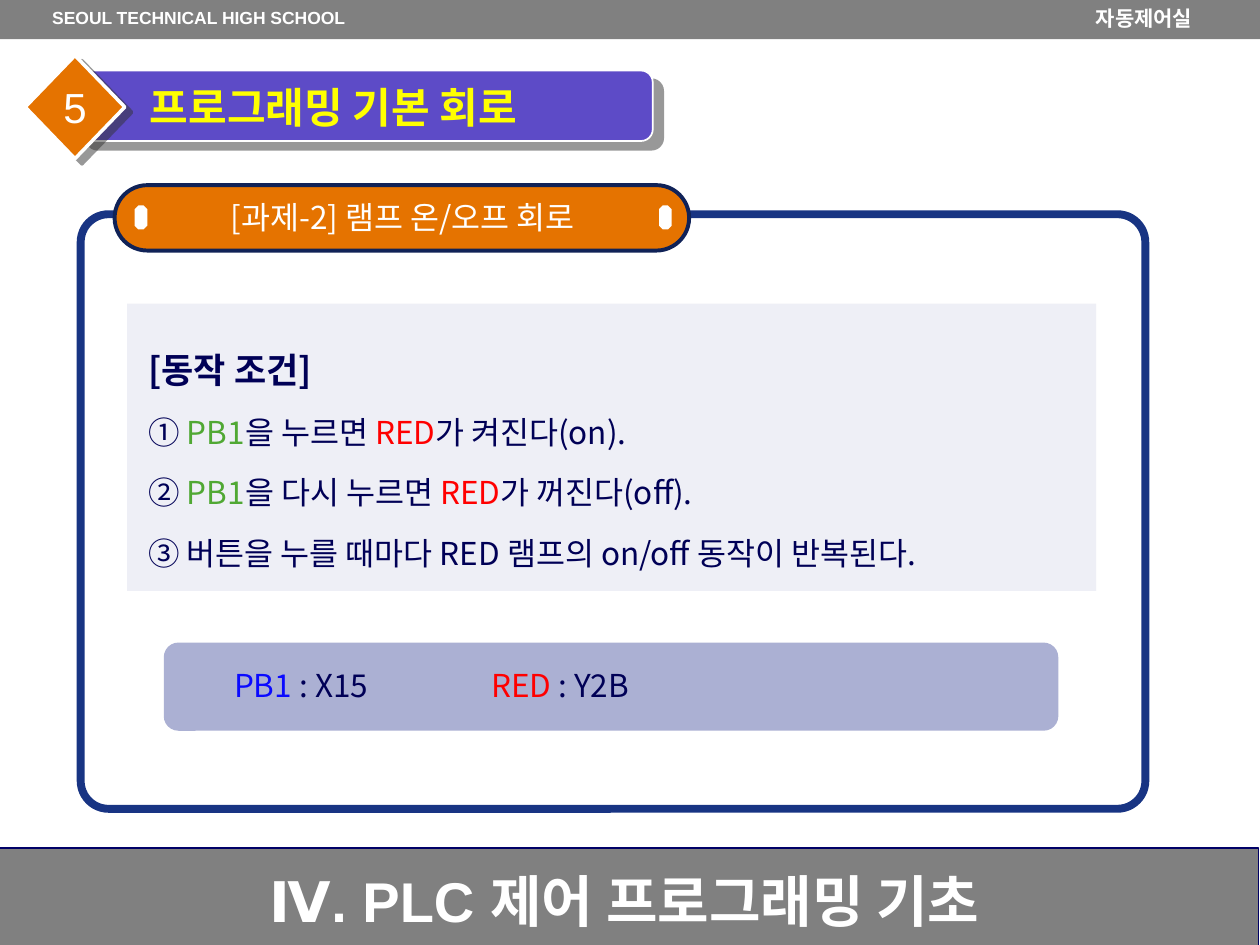
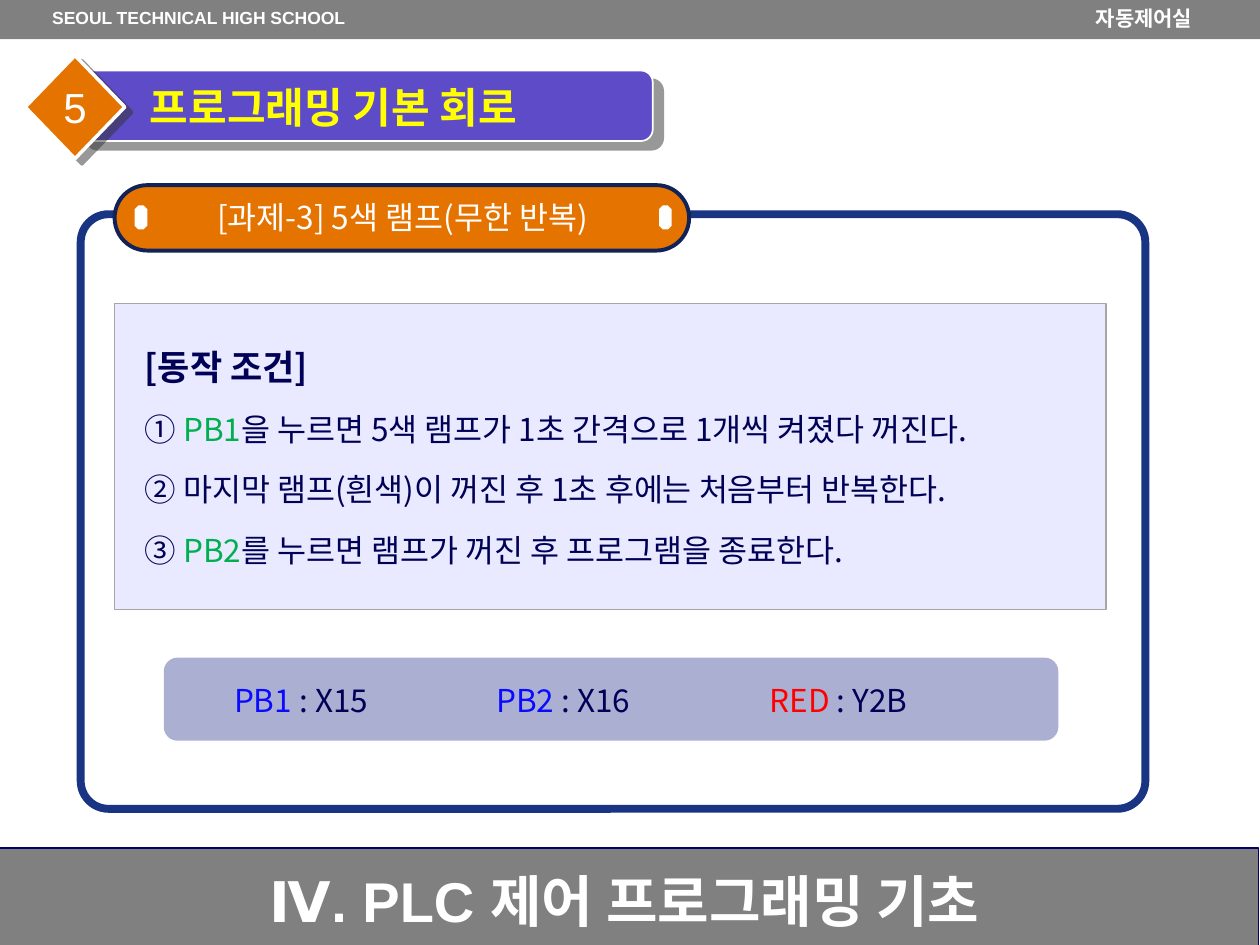
from lxml import etree
from pptx import Presentation
from pptx import util as u
from pptx.dml import color
from pptx.enum import shapes, text
from pptx.oxml import ns

Pt = u.Pt
SHAPE = shapes.MSO_SHAPE
ALIGN = text.PP_ALIGN
ANCHOR = text.MSO_ANCHOR
LATIN, KOREAN = "Arial", "Noto Sans CJK KR"

COLORS = {
    "white": "FFFFFF", "gray": "808080", "footer_line": "000066",
    "frame": "183483", "orange": "E57300", "tab_line": "102257",
    "banner": "5D4BC7", "yellow": "FFFF00", "shadow": "333333",
    "ink": "000056", "panel": "EEEFF6", "lilac": "9595FF",
    "panel_line": "A6A6A6", "bar": "ABB0D3", "red": "FF0000",
    "blue": "0A0AFF", "leaf": "50A834", "green": "00B050",
}


def rgb(name):
    return color.RGBColor.from_string(COLORS[name])


def add_child(parent, tag, **attributes):
    child = etree.SubElement(parent, ns.qn(tag))
    for key, value in attributes.items():
        child.set(key, str(value))
    return child


def write(shape, paragraphs, size=18, font=KOREAN, ink="ink", bold=False,
          align=ALIGN.LEFT, anchor=ANCHOR.TOP, wrap=True, spacing=None,
          indent=0, heading_size=None):
    """Fill a shape; each paragraph is a string or a list of (text, colour) runs."""
    frame = shape.text_frame
    frame.word_wrap = wrap
    frame.vertical_anchor = anchor
    if isinstance(paragraphs, str):
        paragraphs = [paragraphs]
    for index, content in enumerate(paragraphs):
        paragraph = frame.paragraphs[0] if index == 0 else frame.add_paragraph()
        paragraph.alignment = align
        if spacing:
            paragraph.line_spacing = spacing
        if indent:
            paragraph._p.get_or_add_pPr().set("marL", str(Pt(indent)))
        is_heading = heading_size is not None and index == 0
        runs = [(content, ink)] if isinstance(content, str) else content
        for words, run_color in runs:
            run = paragraph.add_run()
            run.text = words
            run.font.name = font
            run.font.size = Pt(heading_size if is_heading else size)
            run.font.bold = bold or is_heading
            run.font.color.rgb = rgb(run_color)
            add_child(run._r.get_or_add_rPr(), "a:ea", typeface=KOREAN)


class Deck:
    def __init__(self):
        self.presentation = Presentation()
        self.presentation.slide_width = Pt(720)
        self.presentation.slide_height = Pt(540)
        self.slide = None

    def shape(self, kind, left, top, width, height, fill=None, line=None,
              line_width=0.75, corner=None, opacity=None):
        shape = self.slide.shapes.add_shape(
            kind, Pt(left), Pt(top), Pt(width), Pt(height))
        shape.shadow.inherit = False
        if corner is not None:
            shape.adjustments[0] = corner
        if fill:
            shape.fill.solid()
            shape.fill.fore_color.rgb = rgb(fill)
            if opacity is not None:
                tint = shape._element.spPr.find(".//" + ns.qn("a:srgbClr"))
                add_child(tint, "a:alpha", val=opacity * 1000)
        else:
            shape.fill.background()
        if line:
            shape.line.color.rgb = rgb(line)
            shape.line.width = Pt(line_width)
        else:
            shape.line.fill.background()
        return shape

    def text(self, words, left, top, width, height, **style):
        box = self.slide.shapes.add_textbox(
            Pt(left), Pt(top), Pt(width), Pt(height))
        write(box, words, **style)

    def cast_shadow(self, shape, distance, angle):
        effects = shape._element.spPr.find(ns.qn("a:effectLst"))
        shadow = add_child(effects, "a:outerShdw", blurRad=0, dist=Pt(distance),
                           dir=angle * 60000, algn="ctr", rotWithShape=0)
        tint = add_child(shadow, "a:srgbClr", val=COLORS["shadow"])
        add_child(tint, "a:alpha", val=50000)

    def bands(self):
        """Header and footer of every slide."""
        centered = dict(ink="white", bold=True, align=ALIGN.CENTER)
        self.shape(SHAPE.RECTANGLE, -0.7, 484.6, 720, 57.6, "gray", "footer_line")
        self.text("Ⅳ. PLC 제어 프로그래밍 기초", 66.2, 491.8, 581.8, 44.6,
                  size=32, font=LATIN, anchor=ANCHOR.MIDDLE, **centered)
        self.shape(SHAPE.RECTANGLE, 0, -1.4, 720, 23.8, "gray")
        self.text("SEOUL TECHNICAL HIGH SCHOOL", 20.2, 0.7, 186.5, 23,
                  size=10, font=LATIN, **centered)
        self.text("자동제어실", 586.8, -1.4, 133.9, 23, size=12,
                  anchor=ANCHOR.MIDDLE, **centered)

    def title(self, number, words):
        banner = self.shape(SHAPE.ROUNDED_RECTANGLE, 43.2, 40.3, 329.8, 40.3,
                            "banner", "white", 1, corner=0.167)
        self.cast_shadow(banner, 7.8, 40)
        self.text(words, 59, 43.2, 301, 36, size=24, ink="yellow", bold=True,
                  anchor=ANCHOR.MIDDLE, indent=19.5)
        diamond = self.shape(SHAPE.DIAMOND, 14.4, 31.7, 56.9, 59,
                             "orange", "white", 2)
        self.cast_shadow(diamond, 5, 37)
        write(diamond, number, size=24, font=LATIN, ink="white",
              align=ALIGN.CENTER, anchor=ANCHOR.MIDDLE, wrap=False)

    def frame(self):
        self.shape(SHAPE.ROUNDED_RECTANGLE, 46.1, 122.4, 608.4, 339.8,
                   line="frame", line_width=4.5, corner=0.047)

    def task_tab(self, words):
        self.shape(SHAPE.ROUNDED_RECTANGLE, 65.5, 105.8, 328.3, 37.4,
                   "orange", "tab_line", 2.25, corner=0.5)
        for left in (77, 376.6):
            self.shape(SHAPE.OCTAGON, left, 117.4, 7.2, 13.7, "white", corner=0.293)
        label = self.shape(SHAPE.RECTANGLE, 93.6, 109.4, 272.9, 28.8, "orange")
        write(label, words, ink="white", align=ALIGN.CENTER)

    def address_bar(self, top, height, addresses):
        """Bar of input and output addresses: (left, name, colour, address)."""
        self.shape(SHAPE.ROUNDED_RECTANGLE, 93.6, top, 511.2, height, "bar")
        for left, name, name_color, address in addresses:
            self.text([[(name, name_color), (f" : {address}", "ink")]],
                      left, top + 9.7, 102, 28.8, wrap=False)

    def start_slide(self, task):
        self.slide = self.presentation.slides.add_slide(
            self.presentation.slide_layouts[6])
        self.bands()
        self.frame()
        self.title("5", "프로그래밍 기본 회로")
        self.task_tab(task)


CONDITIONS = dict(align=ALIGN.JUSTIFY, spacing=1.6, indent=5, heading_size=20)


def lamp_toggle_slide(deck):
    deck.start_slide("[과제-2] 램프 온/오프 회로")
    panel = deck.shape(SHAPE.RECTANGLE, 72.7, 173.5, 553.7, 164.2, "panel")
    steps = [("① ", "을 누르면 ", "가 켜진다(on)."),
             ("② ", "을 다시 누르면 ", "가 꺼진다(off).")]
    write(panel, [
        "[동작 조건]",
        *[[(mark, "ink"), ("PB1", "leaf"), (action, "ink"),
           ("RED", "red"), (result, "ink")] for mark, action, result in steps],
        "③ 버튼을 누를 때마다 RED 램프의 on/off 동작이 반복된다.",
    ], anchor=ANCHOR.MIDDLE, **CONDITIONS)
    deck.address_bar(367.2, 50.4, [(126.7, "PB1", "blue", "X15"),
                                   (273.6, "RED", "red", "Y2B")])


def five_lamps_slide(deck):
    deck.start_slide("[과제-3] 5색 램프(무한 반복)")
    deck.shape(SHAPE.RECTANGLE, 65.5, 173.5, 566.6, 175, "lilac",
               "panel_line", opacity=20)
    deck.text([
        "[동작 조건]",
        [("① ", "ink"), ("PB1", "green"),
         ("을 누르면 5색 램프가 1초 간격으로 1개씩 켜졌다 꺼진다.", "ink")],
        "② 마지막 램프(흰색)이 꺼진 후 1초 후에는 처음부터 반복한다.",
        [("③ ", "ink"), ("PB2", "green"),
         ("를 누르면 램프가 꺼진 후 프로그램을 종료한다.", "ink")],
    ], 70.6, 179.3, 561.6, 189.4, **CONDITIONS)
    deck.address_bar(375.8, 47.5, [(126.7, "PB1", "blue", "X15"),
                                   (276.5, "PB2", "blue", "X16"),
                                   (432.7, "RED", "red", "Y2B")])


def main():
    deck = Deck()
    lamp_toggle_slide(deck)
    five_lamps_slide(deck)
    deck.presentation.save("out.pptx")


if __name__ == "__main__":
    main()
